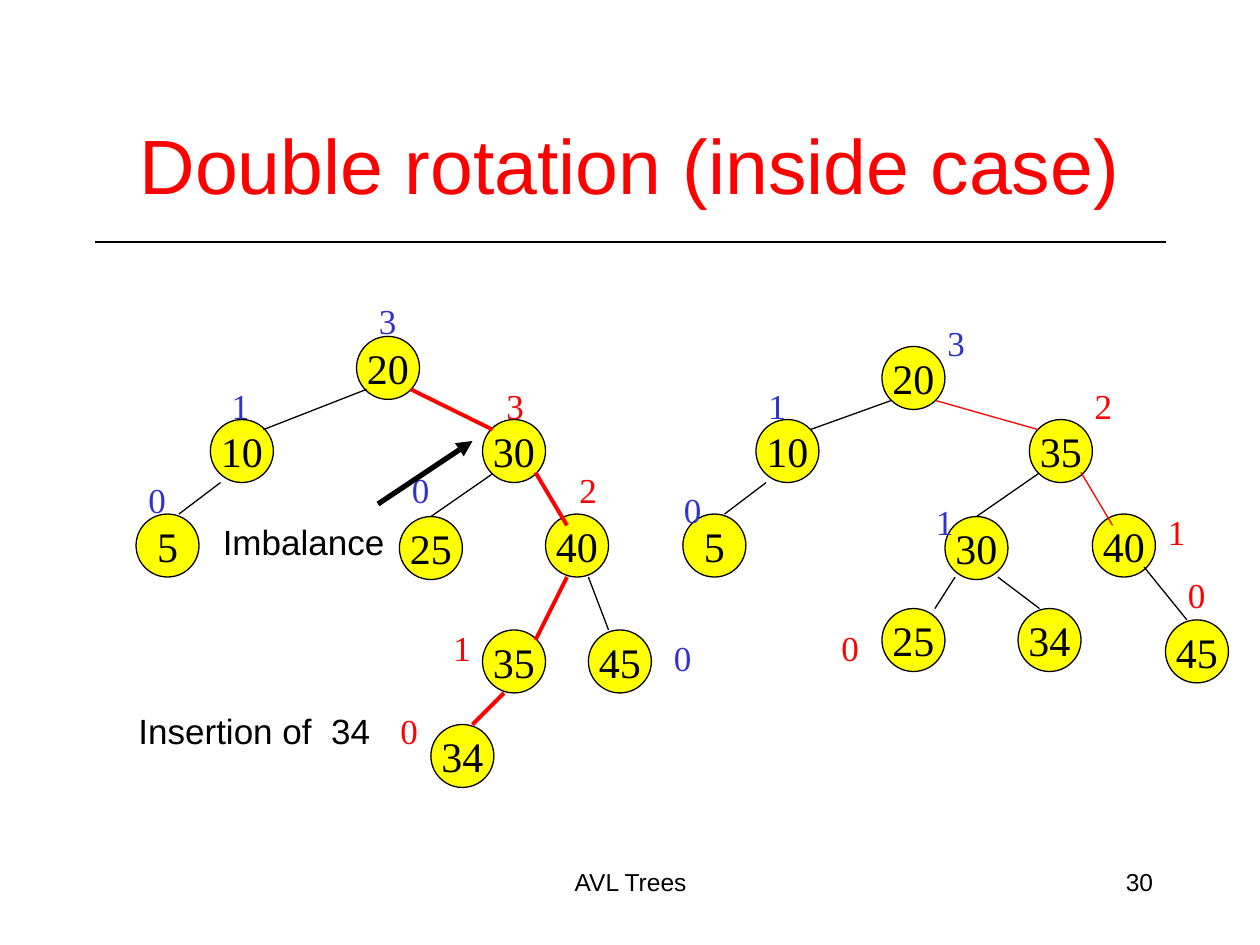
from typing import NamedTuple

from lxml import etree
from pptx import Presentation
from pptx.dml.color import RGBColor
from pptx.enum.shapes import MSO_CONNECTOR, MSO_SHAPE
from pptx.enum.text import MSO_ANCHOR, MSO_AUTO_SIZE, PP_ALIGN
from pptx.oxml.ns import qn
from pptx.util import Inches, Pt

LEFT, CENTER, RIGHT = PP_ALIGN.LEFT, PP_ALIGN.CENTER, PP_ALIGN.RIGHT
TOP, MIDDLE = MSO_ANCHOR.TOP, MSO_ANCHOR.MIDDLE
STRAIGHT, ELLIPSE = MSO_CONNECTOR.STRAIGHT, MSO_SHAPE.OVAL
GROW, FIXED = MSO_AUTO_SIZE.SHAPE_TO_FIT_TEXT, MSO_AUTO_SIZE.NONE

SANS, SERIF = "Arial", "Times New Roman"
COLORS = {"black": "000000", "red": "FF0000", "blue": "3333CC", "yellow": "FFFF00"}
NODE_SIZE = 0.5
LABEL_WIDTH, LINE_HEIGHT = 0.34, 0.44


class Node(NamedTuple):
    key: str
    left: float
    top: float


class Edge(NamedTuple):
    x1: float
    y1: float
    x2: float
    y2: float
    color: str = "black"
    width: float = 0.75


class Height(NamedTuple):
    value: str
    left: float
    top: float
    color: str


class Caption(NamedTuple):
    text: str
    left: float
    top: float
    width: float
    height: float = LINE_HEIGHT
    size: float = 20
    color: str = "black"
    align: PP_ALIGN = LEFT
    anchor: MSO_ANCHOR = TOP
    auto_size: MSO_AUTO_SIZE = GROW


class Tree(NamedTuple):
    nodes: list[Node]
    edges: list[Edge]
    heights: list[Height]


BEFORE_ROTATION = Tree(
    nodes=[
        Node("20", 2.83, 2.67), Node("10", 1.67, 3.33), Node("30", 3.83, 3.33),
        Node("5", 1.08, 4.08), Node("25", 3.17, 4.1), Node("40", 4.33, 4.08),
        Node("35", 3.83, 5), Node("45", 4.67, 5), Node("34", 3.42, 5.75),
    ],
    edges=[
        Edge(2.91, 3.09, 2.09, 3.41),
        Edge(3.26, 3.09, 3.91, 3.41, "red", 2.25),
        Edge(1.75, 3.83, 1.42, 4.08),
        Edge(3.91, 3.76, 3.42, 4.1),
        Edge(4.25, 3.75, 4.5, 4.17, "red", 2.25),
        Edge(4.5, 4.58, 4.25, 5.08, "red", 2.25),
        Edge(4.67, 4.58, 4.83, 5),
        Edge(4, 5.5, 3.75, 5.75, "red", 2.25),
    ],
    heights=[
        Height("3", 2.91, 2.33, "blue"), Height("1", 1.74, 3, "blue"),
        Height("3", 3.92, 3, "red"), Height("0", 1.08, 3.75, "blue"),
        Height("0", 3.17, 3.67, "blue"), Height("2", 4.5, 3.67, "red"),
        Height("1", 3.5, 4.92, "red"), Height("0", 5.25, 5, "blue"),
        Height("0", 3.08, 5.58, "red"),
    ],
)
AFTER_ROTATION = Tree(
    nodes=[
        Node("20", 7, 2.75), Node("10", 6, 3.33), Node("35", 8.17, 3.33),
        Node("5", 5.42, 4.08), Node("30", 7.5, 4.1), Node("40", 8.67, 4.08),
        Node("25", 7, 4.83), Node("34", 8.08, 4.83), Node("45", 9.25, 4.92),
    ],
    edges=[
        Edge(7.07, 3.18, 6.43, 3.41),
        Edge(7.43, 3.18, 8.24, 3.41, "red"),
        Edge(6.08, 3.83, 5.75, 4.08),
        Edge(8.24, 3.76, 7.75, 4.1),
        Edge(8.58, 3.75, 8.83, 4.17, "red"),
        Edge(7.58, 4.58, 7.42, 4.83),
        Edge(7.92, 4.58, 8.25, 4.83),
        Edge(9.08, 4.5, 9.42, 4.92),
    ],
    heights=[
        Height("3", 7.42, 2.5, "blue"), Height("1", 6, 3, "blue"),
        Height("2", 8.59, 3, "red"), Height("0", 5.33, 3.83, "blue"),
        Height("1", 7.33, 3.92, "blue"), Height("1", 9.17, 4, "red"),
        Height("0", 6.58, 4.92, "red"), Height("0", 9.33, 4.5, "red"),
    ],
)
TITLE_RULE = Edge(0.75, 1.92, 9.25, 1.92)
IMBALANCE_ARROW = Edge(3, 4, 3.75, 3.5, width=3)
CAPTIONS = [
    Caption("Double rotation (inside case)", 0.75, 0.67, 8.5, 1.25, 44, "red",
            CENTER, MIDDLE, FIXED),
    Caption("Imbalance", 1.67, 4.08, 1.5),
    Caption("Insertion of  34", 1, 5.58, 2.08),
    Caption("AVL Trees", 3.42, 6.83, 3.17, 0.5, 14, align=CENTER, auto_size=FIXED),
    Caption("30", 7.17, 6.83, 2.08, 0.5, 14, align=RIGHT, auto_size=FIXED),
]


def rgb(name: str) -> RGBColor:
    return RGBColor.from_string(COLORS[name])


def write_text(shape, text: str, font_name: str, size: float, color: str,
               align: PP_ALIGN, frame_format: dict) -> None:
    frame = shape.text_frame
    for attribute, value in frame_format.items():
        setattr(frame, attribute, value)
    paragraph = frame.paragraphs[0]
    paragraph.text = text
    paragraph.alignment = align
    font = paragraph.runs[0].font
    for attribute, value in {"name": font_name, "size": Pt(size)}.items():
        setattr(font, attribute, value)
    font.color.rgb = rgb(color)


def draw_edge(slide, edge: Edge, arrow: bool = False) -> None:
    connector = slide.shapes.add_connector(
        STRAIGHT, Inches(edge.x1), Inches(edge.y1), Inches(edge.x2), Inches(edge.y2))
    connector.line.color.rgb = rgb(edge.color)
    connector.line.width = Pt(edge.width)
    properties = connector._element.spPr
    if arrow:
        etree.SubElement(properties.find(qn("a:ln")), qn("a:tailEnd"), type="triangle")
    etree.SubElement(properties, qn("a:effectLst"))


def draw_node(slide, node: Node) -> None:
    shape = slide.shapes.add_shape(ELLIPSE, Inches(node.left), Inches(node.top),
                                   Inches(NODE_SIZE), Inches(NODE_SIZE))
    shape.shadow.inherit = False
    shape.fill.solid()
    shape.fill.fore_color.rgb = rgb("yellow")
    shape.line.color.rgb = rgb("black")
    shape.line.width = Pt(0.75)
    write_text(shape, node.key, SERIF, 24, "black", CENTER,
               {"word_wrap": False, "vertical_anchor": MIDDLE})


def draw_height(slide, height: Height) -> None:
    """Write the height of a subtree beside its root."""
    box = slide.shapes.add_textbox(Inches(height.left), Inches(height.top),
                                   Inches(LABEL_WIDTH), Inches(LINE_HEIGHT))
    write_text(box, height.value, SERIF, 20, height.color, LEFT,
               {"word_wrap": False, "auto_size": GROW})


def draw_caption(slide, caption: Caption) -> None:
    box = slide.shapes.add_textbox(Inches(caption.left), Inches(caption.top),
                                   Inches(caption.width), Inches(caption.height))
    write_text(box, caption.text, SANS, caption.size, caption.color, caption.align,
               {"word_wrap": True, "vertical_anchor": caption.anchor,
                "auto_size": caption.auto_size})


def draw_tree(slide, tree: Tree) -> None:
    for node in tree.nodes:
        draw_node(slide, node)
    for edge in tree.edges:
        draw_edge(slide, edge)
    for height in tree.heights:
        draw_height(slide, height)


def main() -> None:
    presentation = Presentation()
    presentation.slide_width, presentation.slide_height = Inches(10), Inches(7.5)
    slide = presentation.slides.add_slide(presentation.slide_layouts[6])
    draw_edge(slide, TITLE_RULE)
    for caption in CAPTIONS:
        draw_caption(slide, caption)
    for tree in (BEFORE_ROTATION, AFTER_ROTATION):
        draw_tree(slide, tree)
    draw_edge(slide, IMBALANCE_ARROW, arrow=True)
    presentation.save("out.pptx")


if __name__ == "__main__":
    main()
